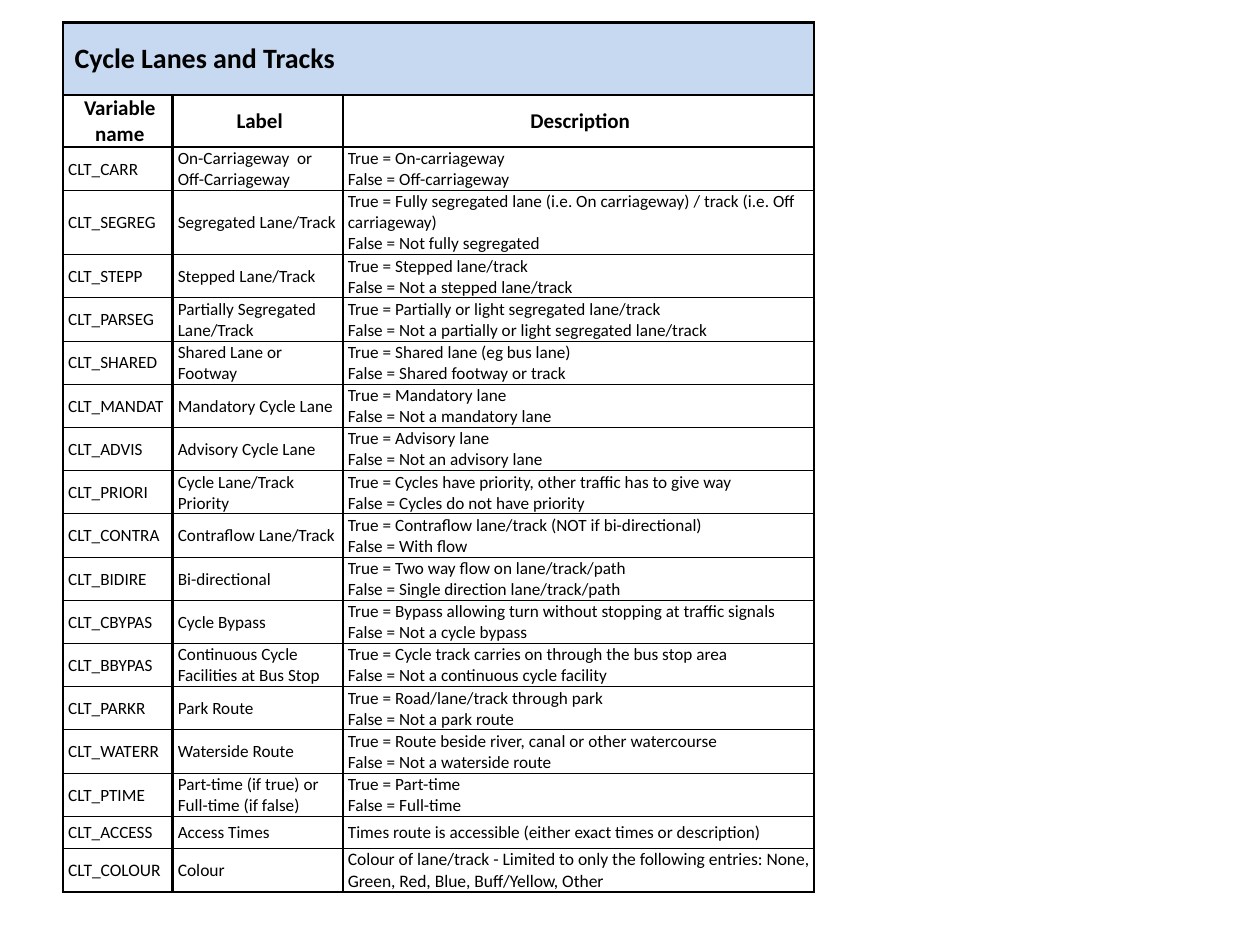
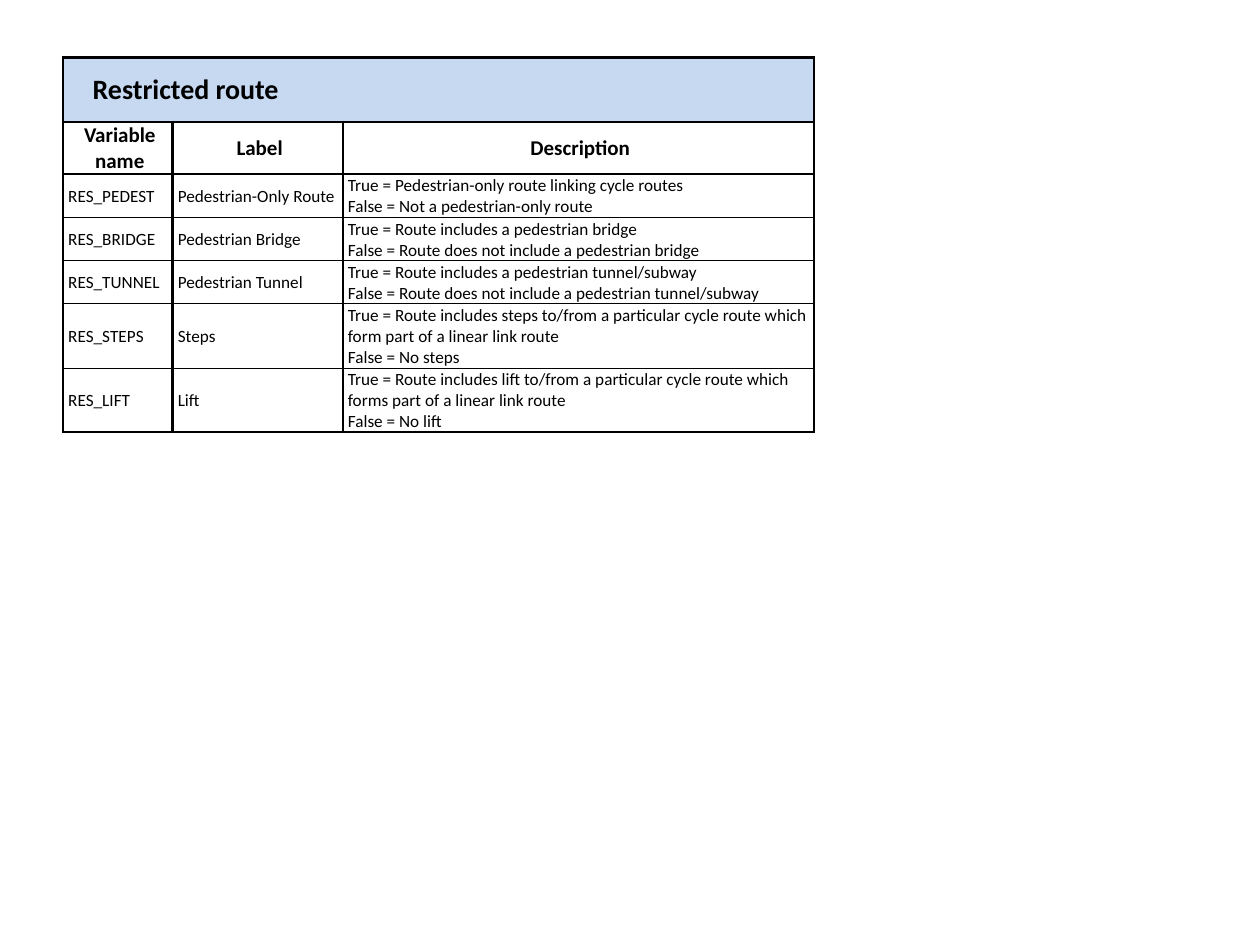
import pptx
import pptx.dml.color
import pptx.enum.text
import pptx.oxml
import pptx.oxml.ns
import pptx.util

Pt = pptx.util.Pt
ALIGN = pptx.enum.text.PP_ALIGN

COLOURS = {"ink": "000000", "title": "C6D9F1", "body": "FFFFFF"}
FONT = "Calibri"
THICK, THIN = 1.5, 0.5
TABLE_LEFT = 36
COLUMN_WIDTHS = (62.64, 97.2, 269.28)
ROW_HEIGHT = 18.2
HEADINGS = ("Variable name", "Label", "Description")

CYCLE_LANES = [
    ("CLT_CARR", "On-Carriageway  or Off-Carriageway",
     "True = On-carriageway\nFalse = Off-carriageway"),
    ("CLT_SEGREG", "Segregated Lane/Track",
     "True = Fully segregated lane (i.e. On carriageway) / track (i.e. Off carriageway)\n"
     "False = Not fully segregated"),
    ("CLT_STEPP", "Stepped Lane/Track",
     "True = Stepped lane/track\nFalse = Not a stepped lane/track"),
    ("CLT_PARSEG", "Partially Segregated Lane/Track",
     "True = Partially or light segregated lane/track\n"
     "False = Not a partially or light segregated lane/track"),
    ("CLT_SHARED", "Shared Lane or Footway",
     "True = Shared lane (eg bus lane)\nFalse = Shared footway or track"),
    ("CLT_MANDAT", "Mandatory Cycle Lane",
     "True = Mandatory lane\nFalse = Not a mandatory lane"),
    ("CLT_ADVIS", "Advisory Cycle Lane",
     "True = Advisory lane\nFalse = Not an advisory lane"),
    ("CLT_PRIORI", "Cycle Lane/Track Priority",
     "True = Cycles have priority, other traffic has to give way\n"
     "False = Cycles do not have priority"),
    ("CLT_CONTRA", "Contraflow Lane/Track",
     "True = Contraflow lane/track (NOT if bi-directional)\nFalse = With flow"),
    ("CLT_BIDIRE", "Bi-directional",
     "True = Two way flow on lane/track/path\nFalse = Single direction lane/track/path"),
    ("CLT_CBYPAS", "Cycle Bypass",
     "True = Bypass allowing turn without stopping at traffic signals\n"
     "False = Not a cycle bypass"),
    ("CLT_BBYPAS", "Continuous Cycle Facilities at Bus Stop",
     "True = Cycle track carries on through the bus stop area\n"
     "False = Not a continuous cycle facility"),
    ("CLT_PARKR", "Park Route",
     "True = Road/lane/track through park\nFalse = Not a park route"),
    ("CLT_WATERR", "Waterside Route",
     "True = Route beside river, canal or other watercourse\n"
     "False = Not a waterside route"),
    ("CLT_PTIME", "Part-time (if true) or Full-time (if false)",
     "True = Part-time\nFalse = Full-time"),
    ("CLT_ACCESS", "Access Times",
     "Times route is accessible (either exact times or description)"),
    ("CLT_COLOUR", "Colour",
     "Colour of lane/track - Limited to only the following entries: "
     "None, Green, Red, Blue, Buff/Yellow, Other"),
]

RESTRICTED_ROUTES = [
    ("RES_PEDEST", "Pedestrian-Only Route",
     "True = Pedestrian-only route linking cycle routes\n"
     "False = Not a pedestrian-only route"),
    ("RES_BRIDGE", "Pedestrian Bridge",
     "True = Route includes a pedestrian bridge\n"
     "False = Route does not include a pedestrian bridge"),
    ("RES_TUNNEL", "Pedestrian Tunnel",
     "True = Route includes a pedestrian tunnel/subway\n"
     "False = Route does not include a pedestrian tunnel/subway"),
    ("RES_STEPS", "Steps",
     "True = Route includes steps to/from a particular cycle route which "
     "form part of a linear link route\nFalse = No steps"),
    ("RES_LIFT", "Lift",
     "True = Route includes lift to/from a particular cycle route which "
     "forms part of a linear link route\nFalse = No lift"),
]


def colour(name):
    return pptx.dml.color.RGBColor.from_string(COLOURS[name])


def write_text(cell, text, size=9.8, bold=False, align=ALIGN.LEFT, indent=3):
    cell.vertical_anchor = pptx.enum.text.MSO_ANCHOR.MIDDLE
    cell.margin_left, cell.margin_right = Pt(indent), Pt(0.7)
    cell.margin_top, cell.margin_bottom = Pt(0.7), 0
    para = cell.text_frame.paragraphs[0]
    para.alignment = align
    for number, line in enumerate(text.split("\n")):
        if number:
            para.add_line_break()
        span = para.add_run()
        span.text = line
        span.font.name, span.font.size, span.font.bold = FONT, Pt(size), bold
        span.font.color.rgb = colour("ink")


def frame_cell(cell, fill=None, left=THICK, right=THICK, top=THICK, bottom=THICK):
    """Set the border widths (0 hides an edge), then the fill."""
    properties = cell._tc.get_or_add_tcPr()
    for edge, width in zip("LRTB", (left, right, top, bottom)):
        line = pptx.oxml.parse_xml(
            f'<a:ln{edge} {pptx.oxml.ns.nsdecls("a")} w="{Pt(width)}">'
            + (f'<a:solidFill><a:srgbClr val="{COLOURS["ink"]}"/></a:solidFill>'
               if width else "<a:noFill/>")
            + f"</a:ln{edge}>")
        properties.append(line)
    if fill:
        cell.fill.solid()
        cell.fill.fore_color.rgb = colour(fill)
    else:
        cell.fill.background()


def fill_title_row(table, title, **title_format):
    cells = [table.cell(0, column) for column in range(3)]
    cells[0].merge(cells[1])
    frame_cell(cells[0], "title", right=0)
    frame_cell(cells[1], "title", left=0, right=0)
    frame_cell(cells[2], "title", left=0)
    write_text(cells[0], title, size=16, bold=True, **title_format)
    write_text(cells[2], "", size=16)


def fill_row(table, row, texts, top, bottom, **text_format):
    for column, text in enumerate(texts):
        cell = table.cell(row, column)
        frame_cell(cell, None if column == 1 else "body", top=top, bottom=bottom)
        write_text(cell, text, **text_format)


def add_variable_page(deck, title, records, top, title_height, last_size=9.8, **title_format):
    page = deck.slides.add_slide(deck.slide_layouts[6])
    row_count = len(records) + 2
    table = page.shapes.add_table(
        row_count, 3, Pt(TABLE_LEFT), Pt(top), Pt(sum(COLUMN_WIDTHS)),
        Pt(title_height + ROW_HEIGHT * (row_count - 1))).table
    table.first_row = table.horz_banding = False
    for column, width in zip(table.columns, COLUMN_WIDTHS):
        column.width = Pt(width)
    for number, row in enumerate(table.rows):
        row.height = Pt(ROW_HEIGHT if number else title_height)

    fill_title_row(table, title, **title_format)
    fill_row(table, 1, HEADINGS, THICK, THICK, size=12, bold=True, align=ALIGN.CENTER)
    for number, record in enumerate(records):
        last = number == len(records) - 1
        fill_row(table, number + 2, record,
                 top=THIN if number else THICK,
                 bottom=THICK if last else THIN,
                 size=last_size if last else 9.8)


def main():
    deck = pptx.Presentation()
    deck.slide_width, deck.slide_height = Pt(720), Pt(540)
    add_variable_page(deck, "Cycle Lanes and Tracks", CYCLE_LANES, top=12.8,
                      title_height=41.3, last_size=10, align=ALIGN.CENTER)
    add_variable_page(deck, "Restricted route", RESTRICTED_ROUTES, top=32.8,
                      title_height=36.8, indent=17)
    deck.save("out.pptx")


if __name__ == "__main__":
    main()
